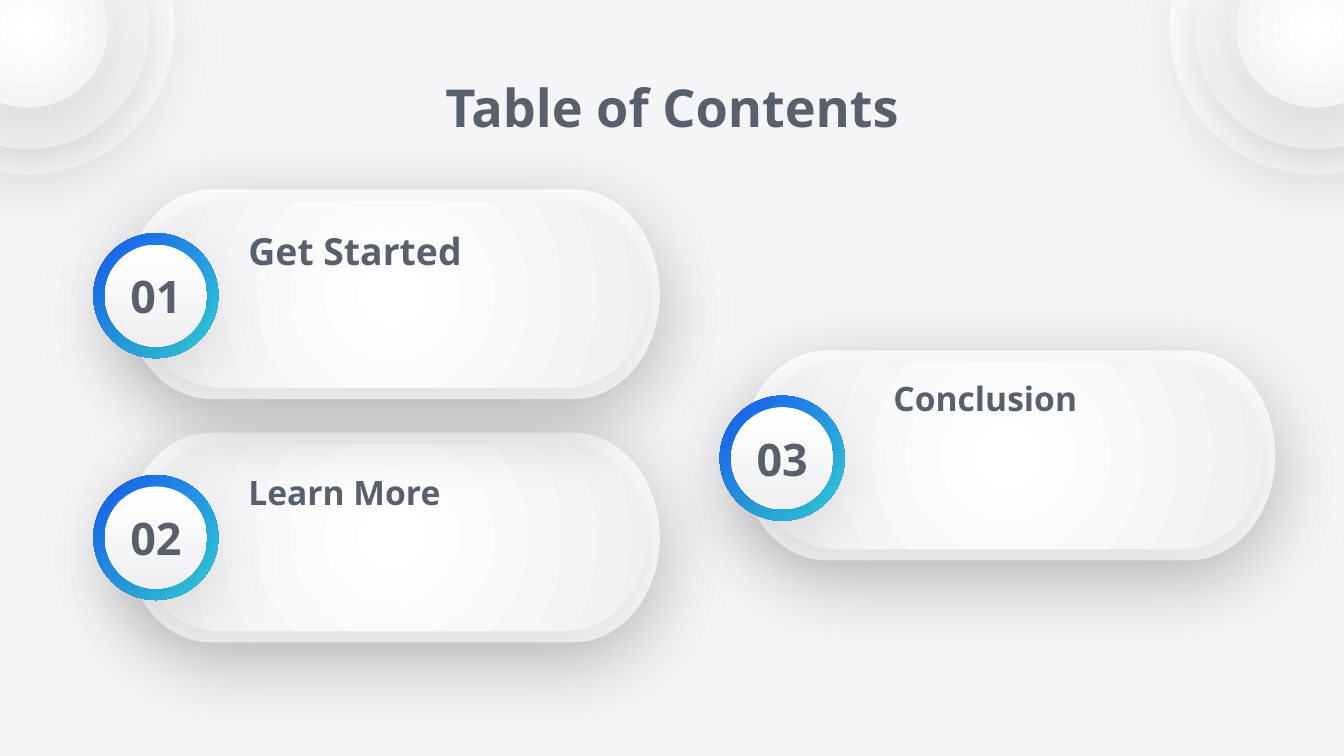
"""Build a table of contents slide with three raised, numbered cards."""
from lxml import etree
from pptx import Presentation
from pptx.dml.color import RGBColor
from pptx.enum.shapes import MSO_SHAPE
from pptx.enum.text import MSO_ANCHOR, PP_ALIGN
from pptx.oxml.ns import qn
from pptx.util import Inches, Pt

OVAL, PILL = MSO_SHAPE.OVAL, MSO_SHAPE.FLOWCHART_TERMINATOR
TOP, MIDDLE = MSO_ANCHOR.TOP, MSO_ANCHOR.MIDDLE
LEFT, CENTER = PP_ALIGN.LEFT, PP_ALIGN.CENTER

TITLE = "Table of Contents"
CARDS = [
    dict(number="02", label="Learn More", x=0.93, y=3.22, badge_x=1.16, badge_y=4.0,
         label_x=1.75, label_y=3.46, label_h=0.41, size=18, anchor=MIDDLE),
    dict(number="03", label="Conclusion", x=5.51, y=2.61, badge_x=5.82, badge_y=3.41,
         label_x=6.55, label_y=2.76, label_h=0.41, size=18, anchor=MIDDLE),
    dict(number="01", label="Get Started", x=0.93, y=1.41, badge_x=1.16, badge_y=2.2,
         label_x=1.75, label_y=1.6, label_h=0.53, size=20, anchor=TOP),
]
COLORS = dict(back="F5F5F8", white="FFFFFF", pale="F0F0F3", text="595F6B",
              blue="1658F1", aqua="36DBE0", shadow="000000")
FONT = "Open Sans"
WIDTH = 10
HEIGHT = WIDTH * 9 / 16
CARD_W, CARD_H = 3.98, 1.56
INNER_W, INNER_H = 3.8, 1.39
RING, FACE = 0.93, 0.76
NUMBER_H, LABEL_W = 0.58, 2.77
MARGIN = 0.78
CORNERS, CORNER_Y = (0.21, WIDTH - 0.21), 0.21
DISCS = (2.18, 1.8, 1.18)


def color(name):
    return RGBColor.from_string(COLORS[name])


def add_shadow(sp):
    effects = sp._element.spPr.find(qn("a:effectLst"))
    outer = etree.SubElement(effects, qn("a:outerShdw"), blurRad=str(Pt(45)),
                             dist=str(Pt(11.2)), dir=str(85 * 60000),
                             algn="bl", rotWithShape="0")
    tint = etree.SubElement(outer, qn("a:srgbClr"), val=COLORS["shadow"])
    etree.SubElement(tint, qn("a:alpha"), val="15000")


def make_radial(sp):
    grad = sp._element.spPr.find(qn("a:gradFill"))
    grad.remove(grad.find(qn("a:lin")))
    radial = etree.SubElement(grad, qn("a:path"), path="circle")
    etree.SubElement(radial, qn("a:fillToRect"),
                     l="50000", t="50000", r="50000", b="50000")


def add_shape(kind, cx, cy, w, h, fills=("white",), angle=None, shadow=True):
    sp = s.shapes.add_shape(kind, Inches(cx - w / 2), Inches(cy - h / 2),
                            Inches(w), Inches(h))
    sp.shadow.inherit = False
    sp.line.fill.background()
    if len(fills) == 1:
        sp.fill.solid()
        sp.fill.fore_color.rgb = color(fills[0])
    else:
        sp.fill.gradient()
        for stop, name in zip(sp.fill.gradient_stops, fills):
            stop.color.rgb = color(name)
        if angle is None:
            make_radial(sp)
        else:
            sp.fill.gradient_angle = 360 - angle
    if shadow:
        add_shadow(sp)


def add_text(text, x, y, w, h, size=24, align=CENTER, anchor=MIDDLE):
    tf = s.shapes.add_textbox(Inches(x), Inches(y), Inches(w), Inches(h)).text_frame
    tf.word_wrap = True
    tf.vertical_anchor = anchor
    tf.margin_left = tf.margin_right = tf.margin_top = tf.margin_bottom = Inches(0.1)
    p = tf.paragraphs[0]
    p.alignment = align
    r = p.add_run()
    r.text = text
    r.font.name, r.font.size, r.font.bold = FONT, Pt(size), True
    r.font.color.rgb = color("text")


prs = Presentation()
prs.slide_width, prs.slide_height = Inches(WIDTH), Inches(HEIGHT)
s = prs.slides.add_slide(prs.slide_layouts[6])
s.background.fill.solid()
s.background.fill.fore_color.rgb = color("back")

for cx in CORNERS:
    outer, *inner = DISCS
    add_shape(OVAL, cx, CORNER_Y, outer, outer, shadow=False)
    for d in inner:
        add_shape(OVAL, cx, CORNER_Y, d, d, ("white", "pale"))

for card in CARDS:
    cx, cy = card["x"] + CARD_W / 2, card["y"] + CARD_H / 2
    add_shape(PILL, cx, cy, CARD_W, CARD_H)
    add_shape(PILL, cx, cy, INNER_W, INNER_H, ("white", "pale"))

for card in CARDS:
    cx, cy = card["badge_x"], card["badge_y"]
    add_shape(OVAL, cx, cy, RING, RING, ("blue", "aqua"), angle=45, shadow=False)
    add_shape(OVAL, cx, cy, FACE, FACE, ("white", "pale"), angle=90)
    add_text(card["number"], cx - RING / 2, cy - NUMBER_H / 2, RING, NUMBER_H)
    add_text(card["label"], card["label_x"], card["label_y"], LABEL_W,
             card["label_h"], size=card["size"], align=LEFT, anchor=card["anchor"])

add_text(TITLE, MARGIN, 0.59, WIDTH - 2 * MARGIN, 0.41, size=28)
prs.save("out.pptx")
